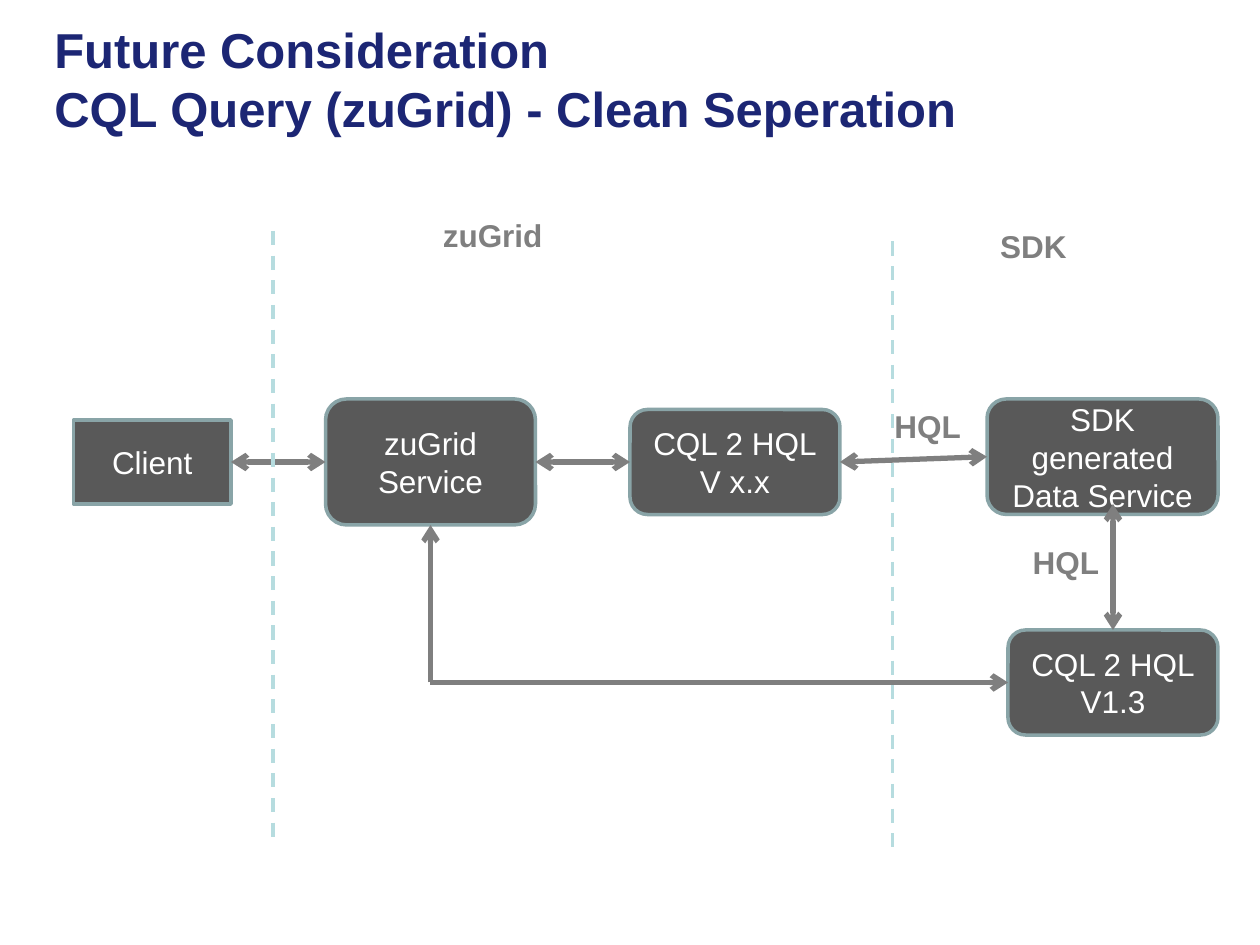
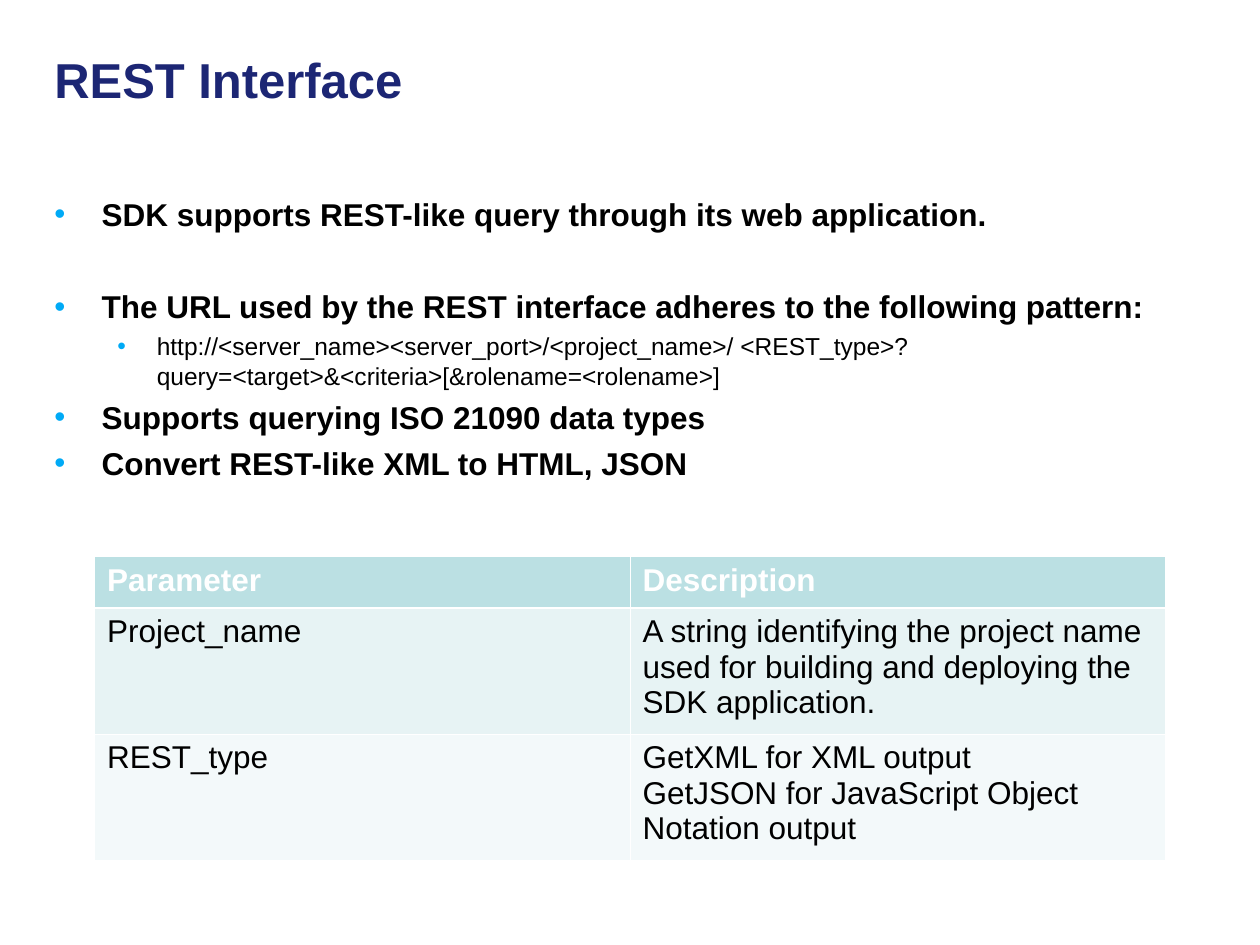
import lxml.etree
import pptx
import pptx.dml.color
import pptx.enum.dml
import pptx.enum.shapes
import pptx.enum.text
import pptx.oxml.ns
import pptx.util

Pt = pptx.util.Pt
RGBColor = pptx.dml.color.RGBColor
SHAPE = pptx.enum.shapes.MSO_SHAPE
ALIGN = pptx.enum.text.PP_ALIGN
ANCHOR = pptx.enum.text.MSO_ANCHOR
qn = pptx.oxml.ns.qn

NAVY = RGBColor(0x1C, 0x26, 0x74)
BLACK = RGBColor(0, 0, 0)
WHITE = RGBColor(0xFF, 0xFF, 0xFF)
CHARCOAL = RGBColor(0x59, 0x59, 0x59)
GRAY = RGBColor(0x7F, 0x7F, 0x7F)
BOX_EDGE = RGBColor(0x89, 0xA4, 0xA7)
DIVIDER = RGBColor(0xB6, 0xDC, 0xDF)
BULLET = RGBColor(0x00, 0xAA, 0xF6)
HEADER_FILL = RGBColor(0xBB, 0xE0, 0xE3)
ROW_FILLS = [RGBColor(0xE7, 0xF3, 0xF4), RGBColor(0xF3, 0xF9, 0xFA)]

TOP, LEFT, BOTTOM, RIGHT = range(4)


def add_xml(parent, tag, **attrs):
    return lxml.etree.SubElement(parent, qn(tag), attrs)


def write(p, text, size=18, color=BLACK, bold=False, align=ALIGN.LEFT, before=0):
    p.text = text
    p.alignment = align
    p.space_before = Pt(before)
    for r in p.runs:
        r.font.name = "Arial"
        r.font.size = Pt(size)
        r.font.bold = bold
        r.font.color.rgb = color


class Deck:
    """Holds the presentation style and the slide being drawn."""

    def __init__(self):
        self.prs = pptx.Presentation()
        self.prs.slide_width, self.prs.slide_height = Pt(720), Pt(540)

    def slide(self, title):
        self.s = self.prs.slides.add_slide(self.prs.slide_layouts[6])
        tf = self.text(24, 0, 540, 90)
        tf.vertical_anchor = ANCHOR.MIDDLE
        write(tf.paragraphs[0], title, size=28, color=NAVY, bold=True)

    def text(self, x, y, w, h):
        tf = self.s.shapes.add_textbox(Pt(x), Pt(y), Pt(w), Pt(h)).text_frame
        tf.word_wrap = True
        return tf

    def label(self, text, x, y, w):
        tf = self.text(x, y, w, 29)
        tf.word_wrap = False
        tf.auto_size = pptx.enum.text.MSO_AUTO_SIZE.SHAPE_TO_FIT_TEXT
        write(tf.paragraphs[0], text, color=GRAY, bold=True)

    def box(self, lines, x, y, w, h, kind=SHAPE.ROUNDED_RECTANGLE):
        sp = self.s.shapes.add_shape(kind, Pt(x), Pt(y), Pt(w), Pt(h))
        sp.shadow.inherit = False
        sp.fill.solid()
        sp.fill.fore_color.rgb = CHARCOAL
        sp.line.color.rgb = BOX_EDGE
        sp.line.width = Pt(2)
        tf = sp.text_frame
        tf.word_wrap = True
        tf.vertical_anchor = ANCHOR.MIDDLE
        for i, line in enumerate(lines):
            p = tf.add_paragraph() if i else tf.paragraphs[0]
            write(p, line, color=WHITE, align=ALIGN.CENTER)
        return sp

    def line(self, start, end, color, width):
        straight = pptx.enum.shapes.MSO_CONNECTOR.STRAIGHT
        c = self.s.shapes.add_connector(straight, *map(Pt, start + end))
        c.line.color.rgb = color
        c.line.width = Pt(width)
        add_xml(c.element.spPr, "a:effectLst")
        return c

    def divider(self, x, y):
        c = self.line((x, y), (x, y + 348), DIVIDER, 2)
        c.line.dash_style = pptx.enum.dml.MSO_LINE.DASH

    def arrow(self, start, end, begin=None, finish=None, both=True):
        c = self.line(start, end, GRAY, 3)
        if begin:
            c.begin_connect(*begin)
        if finish:
            c.end_connect(*finish)
        ln = c.element.spPr.find(qn("a:ln"))
        if both:
            add_xml(ln, "a:headEnd", type="arrow")
        add_xml(ln, "a:tailEnd", type="arrow")

    def bullets(self, items, x, y, w, h):
        tf = self.text(x, y, w, h)
        for i, (text, level, before) in enumerate(items):
            p = tf.add_paragraph() if i else tf.paragraphs[0]
            write(p, text, size=14 if level else 18, bold=not level, before=before)
            p.level = level
            margin, indent = (58.5, -22.5) if level else (27, -27)
            pPr = p._p.get_or_add_pPr()
            pPr.set("marL", str(Pt(margin)))
            pPr.set("indent", str(Pt(indent)))
            add_xml(add_xml(pPr, "a:buClr"), "a:srgbClr", val=str(BULLET))
            add_xml(pPr, "a:buFont", typeface="Arial")
            add_xml(pPr, "a:buChar", char="•")

    def cell(self, cell, text, fill, header, thick_edge):
        tcPr = cell._tc.get_or_add_tcPr()
        for edge in ("a:lnL", "a:lnR", "a:lnT", "a:lnB"):
            ln = add_xml(tcPr, edge, w=str(Pt(1.47 if edge == thick_edge else 0.45)))
            add_xml(add_xml(ln, "a:solidFill"), "a:srgbClr", val=str(WHITE))
        cell.fill.solid()
        cell.fill.fore_color.rgb = fill
        tf = cell.text_frame
        for i, line in enumerate(text.split("\n")):
            p = tf.add_paragraph() if i else tf.paragraphs[0]
            write(p, line, color=WHITE if header else BLACK, bold=header)

    def table(self, rows, x, y, col_width, heights):
        cols = len(rows[0])
        frame = self.s.shapes.add_table(
            len(rows), cols, Pt(x), Pt(y), Pt(col_width * cols), Pt(sum(heights)))
        t = frame.table
        t.horz_banding = False
        for col in t.columns:
            col.width = Pt(col_width)
        thick_edges = {0: "a:lnB", 1: "a:lnT"}
        for i, row in enumerate(rows):
            t.rows[i].height = Pt(heights[i])
            fill = ROW_FILLS[(i - 1) % 2] if i else HEADER_FILL
            for j, text in enumerate(row):
                self.cell(t.cell(i, j), text, fill, i == 0, thick_edges.get(i))


def query_slide(d):
    d.slide("Future Consideration\vCQL Query (zuGrid) - Clean Seperation")
    client = d.box(["Client"], 42, 240, 90, 48, SHAPE.RECTANGLE)
    service = d.box(["zuGrid Service"], 186, 228, 120, 72)
    converter = d.box(["CQL 2 HQL", "V x.x"], 360, 234, 120, 60)
    sdk = d.box(["SDK generated Data Service"], 564, 228, 132, 66)
    converter13 = d.box(["CQL 2 HQL", "V1.3"], 576, 360, 120, 60)

    d.arrow((132, 264), (186, 264), (client, RIGHT), (service, LEFT))
    d.arrow((306, 264), (360, 264), (service, RIGHT), (converter, LEFT))
    d.arrow((480, 264), (564, 261), (converter, RIGHT), (sdk, LEFT))
    d.divider(156, 132)
    d.divider(510, 138)
    d.arrow((636, 288), (636, 360), finish=(converter13, TOP))
    corner = (246, 390)
    d.arrow(corner, (576, 390), finish=(converter13, LEFT), both=False)
    d.arrow(corner, (246, 300), finish=(service, BOTTOM), both=False)

    d.label("zuGrid", 246, 120, 72)
    d.label("SDK", 564.5, 126, 52.5)
    d.label("HQL", 504, 229, 52.5)
    d.label("HQL", 583, 306.5, 52.5)


def rest_slide(d):
    d.slide("REST Interface")
    d.bullets([
        ("SDK supports REST-like query through its web application.", 0, 4.5),
        ("The URL used by the REST interface adheres to the following pattern:", 0, 31),
        ("http://<server_name><server_port>/<project_name>/ <REST_type>?"
         "query=<target>&<criteria>[&rolename=<rolename>]", 1, 3.5),
        ("Supports querying ISO 21090 data types", 0, 4.5),
        ("Convert REST-like XML to HTML, JSON", 0, 4.5),
    ], 24, 108, 666, 210)
    d.table([
        ("Parameter", "Description"),
        ("Project_name", "A string identifying the project name used for building "
                         "and deploying the SDK application."),
        ("REST_type", "GetXML for XML output\n"
                      "GetJSON for JavaScript Object Notation output"),
    ], 54, 318, 306, [29.5, 72, 72])


def main():
    d = Deck()
    query_slide(d)
    rest_slide(d)
    d.prs.save("out.pptx")


if __name__ == "__main__":
    main()
